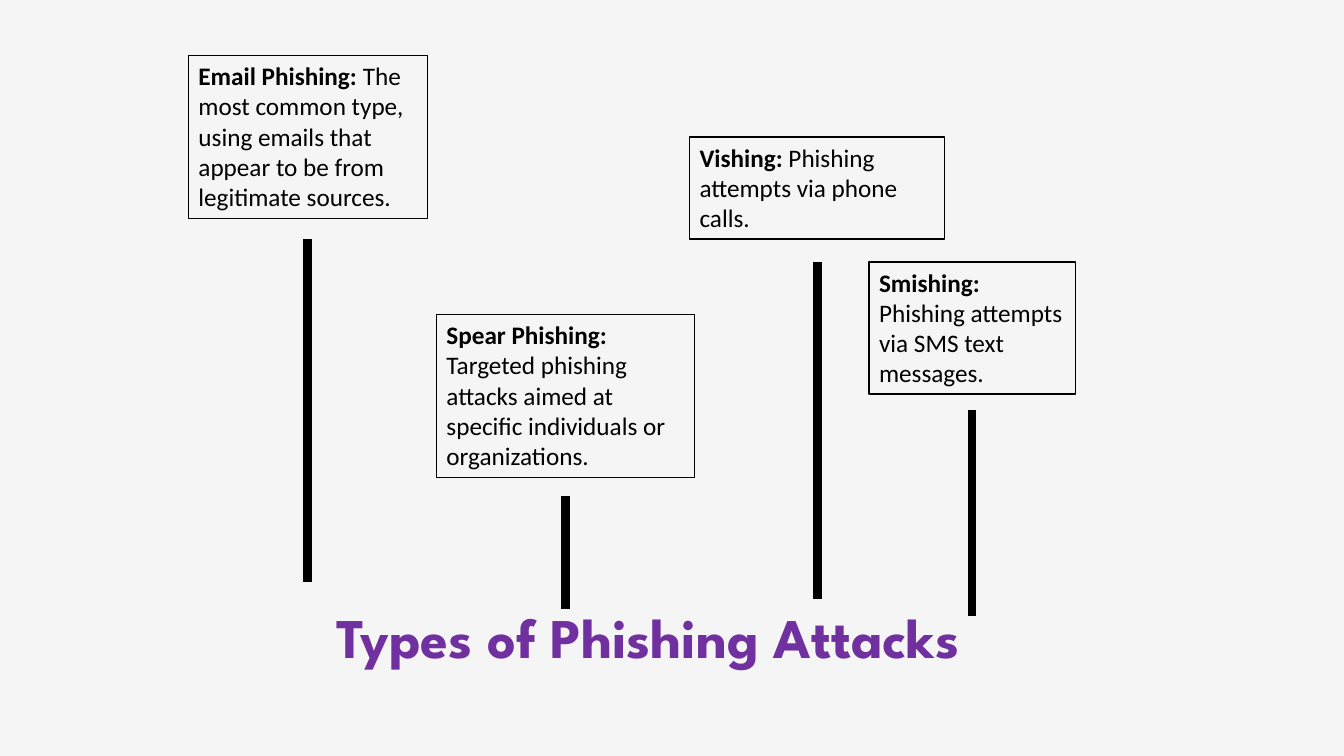
from lxml import etree
from pptx import Presentation
from pptx.dml.color import RGBColor
from pptx.enum import shapes, text
from pptx.oxml import ns
from pptx.util import Inches, Pt

HUES = {"back": "F5F5F5", "ink": "000000", "title": "7030A0"}
TITLE = {"name": "League Spartan", "size": Pt(40), "bold": True}
BODY = {"name": "Calibri", "size": Pt(18)}
FRAME = {"word_wrap": True, "auto_size": text.MSO_AUTO_SIZE.SHAPE_TO_FIT_TEXT}
TYPES = [
    ("Email Phishing:", " The most common type, using emails that appear to be from legitimate sources.",
     (1.87, 0.55, 2.37, 1.62), (3.05, 2.37, 5.77)),
    ("Smishing:", " Phishing attempts via SMS text messages.",
     (8.62, 2.6, 2.05, 1.31), (9.64, 4.07, 6.11)),
    ("Vishing:", " Phishing attempts via phone calls.",
     (6.84, 1.36, 2.53, 1.01), (8.11, 2.6, 5.94)),
    ("Spear Phishing:", " Targeted phishing attacks aimed at specific individuals or organizations.",
     (4.33, 3.12, 2.56, 1.62), (5.61, 4.92, 6.04)),
]


def style(item, form):
    for key, val in form.items():
        setattr(item, key, val)


def paint(item, hue):
    item.rgb = RGBColor.from_string(HUES[hue])


deck = Presentation()
style(deck, {"slide_width": Inches(13.33), "slide_height": Inches(7.5)})
slide = deck.slides.add_slide(deck.slide_layouts[5])
slide.background.fill.solid()
paint(slide.background.fill.fore_color, "back")

title = slide.shapes.title
style(title, {"left": Inches(1.09), "top": Inches(6.11),
              "width": Inches(10.67), "height": Inches(1.15)})
title.text_frame.text = "Types of Phishing Attacks"
style(title.text_frame, {"vertical_anchor": text.MSO_ANCHOR.TOP, "word_wrap": True,
                         "auto_size": text.MSO_AUTO_SIZE.NONE,
                         "margin_top": Inches(-0.06)})
head = title.text_frame.paragraphs[0]
style(head, {"alignment": text.PP_ALIGN.CENTER, "line_spacing": 0.9})
style(head.runs[0].font, TITLE)
paint(head.runs[0].font.color, "title")

for name, note, place, (mid, start, end) in TYPES:
    box = slide.shapes.add_textbox(*map(Inches, place))
    box.line.width = Pt(1)
    paint(box.line.color, "ink")
    style(box.text_frame, FRAME)
    for words, bold in ((name, True), (note, False)):
        run = box.text_frame.paragraphs[0].add_run()
        run.text = words
        style(run.font, {**BODY, "bold": bold})
        paint(run.font.color, "ink")

    stem = slide.shapes.add_connector(
        shapes.MSO_CONNECTOR.STRAIGHT, *map(Inches, (mid, start, mid, end)))
    stem.line.width = Pt(6)
    paint(stem.line.color, "ink")
    etree.SubElement(stem._element.spPr, ns.qn("a:effectLst"))

deck.save("out.pptx")
